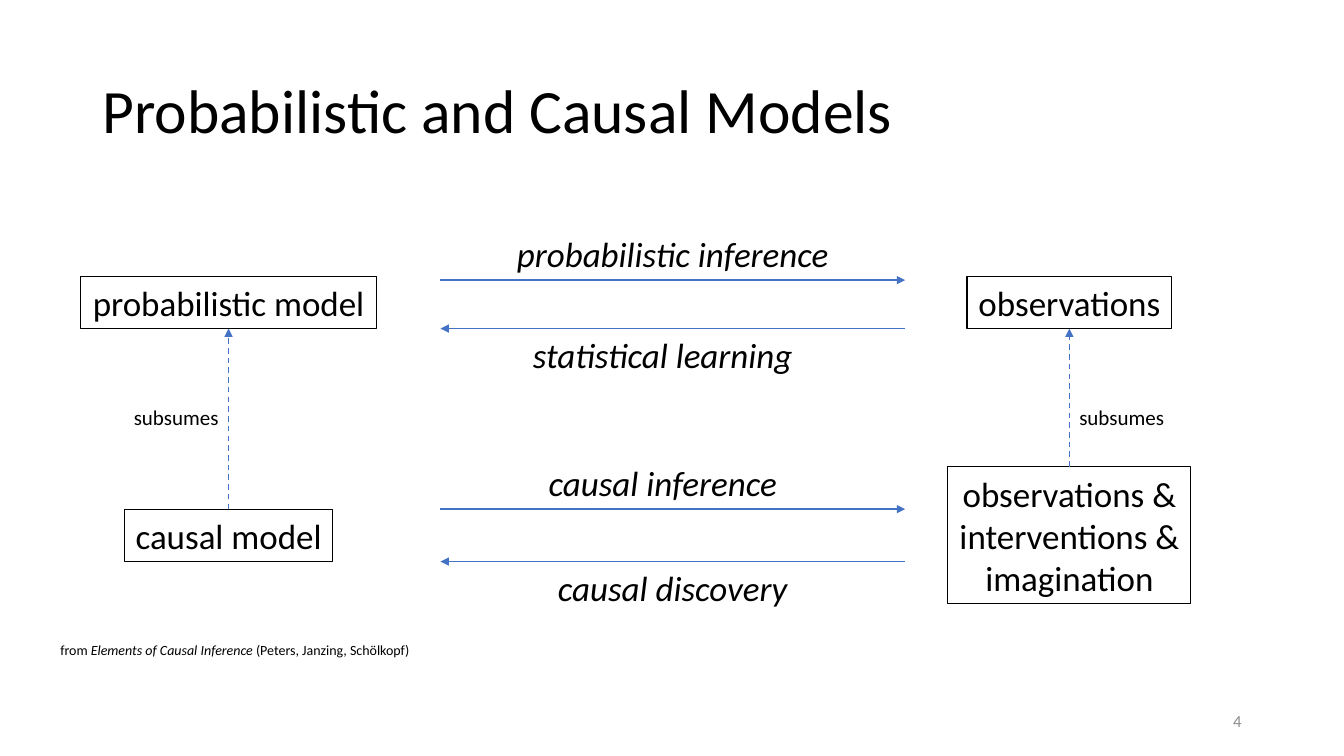
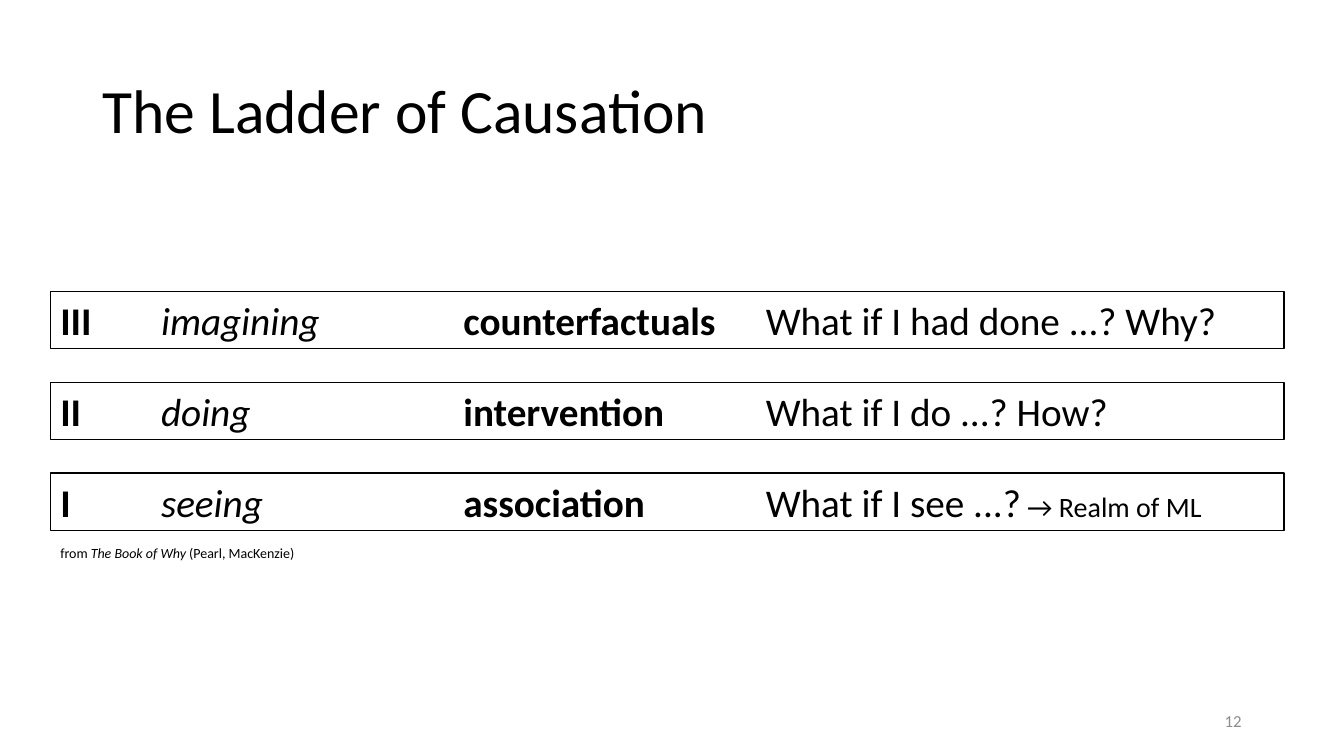
from lxml.etree import SubElement
from pptx import Presentation
from pptx.dml.color import RGBColor
from pptx.enum.dml import MSO_LINE_DASH_STYLE as Dash
from pptx.enum.shapes import MSO_CONNECTOR as Connector, MSO_SHAPE as Shape
from pptx.enum.text import MSO_ANCHOR as Anchor, PP_ALIGN as Align
from pptx.oxml.ns import qn
from pptx.util import Cm, Pt

FONT = "Calibri"
BLACK, GREY, BLUE = "000000", "8C8C8C", "4472C4"
TITLE_SIZE, ROW_SIZE, NODE_SIZE, ASIDE_SIZE = 44, 28, 25, 20
LINK_SIZE, NUMBER_SIZE, SOURCE_SIZE = 15, 12, 10
MARGIN = 1.27
BOLD, ITALIC = {"bold": True}, {"italic": True}


def color(hex_code):
    return RGBColor.from_string(hex_code)


def write(frame, lines, size, ink=BLACK, align=Align.LEFT, anchor=Anchor.TOP):
    """Fill a frame; each line is a list of (text, font settings) pieces."""
    frame.word_wrap = True
    frame.vertical_anchor = anchor
    for index, pieces in enumerate(lines):
        paragraph = frame.add_paragraph() if index else frame.paragraphs[0]
        paragraph.alignment = align
        for text, settings in pieces:
            run = paragraph.add_run()
            run.text = text
            font = run.font
            font.name, font.color.rgb = FONT, color(ink)
            font.size = Pt(settings.get("size", size))
            font.bold = settings.get("bold", False)
            font.italic = settings.get("italic", False)


def add_label(slide, box, pieces, size, **layout):
    label = slide.shapes.add_textbox(*map(Cm, box))
    write(label.text_frame, [pieces], size, **layout)
    return label


def add_frame(slide, box):
    """Add an unfilled rectangle with a thin black outline."""
    frame = slide.shapes.add_shape(Shape.RECTANGLE, *map(Cm, box))
    frame.shadow.inherit = False
    frame.fill.background()
    frame.line.color.rgb = color(BLACK)
    frame.line.width = Pt(0.75)
    return frame


def add_arrow(slide, start, end, dash=None):
    arrow = slide.shapes.add_connector(Connector.STRAIGHT, *map(Cm, (*start, *end)))
    arrow.line.color.rgb = color(BLUE)
    arrow.line.width = Pt(1)
    if dash:
        arrow.line.dash_style = dash
    SubElement(arrow.line._get_or_add_ln(), qn("a:tailEnd"), type="triangle")
    SubElement(arrow._element.spPr, qn("a:effectLst"))


def add_base(prs, title, number):
    """Add a blank slide with its title and slide number."""
    slide = prs.slides.add_slide(prs.slide_layouts[6])
    heading = add_label(slide, (2.33, 1.02, 29.21, 3.68), [(title, {})],
                        TITLE_SIZE, anchor=Anchor.MIDDLE)
    heading.text_frame.paragraphs[0].line_spacing = 0.9
    add_label(slide, (23.92, 17.66, 7.62, 1.01), [(str(number), {})], NUMBER_SIZE,
              ink=GREY, align=Align.RIGHT, anchor=Anchor.MIDDLE)
    return slide


def add_source(slide, top, work, authors):
    add_label(slide, (MARGIN, top, 12, 0.68),
              [("from ", {}), (work, ITALIC), (f" ({authors})", {})], SOURCE_SIZE)


def add_node(slide, center, top, width, height, lines):
    node = add_frame(slide, (center - width / 2, top, width, height))
    write(node.text_frame, [[(line, {})] for line in lines], NODE_SIZE,
          align=Align.CENTER, anchor=Anchor.MIDDLE)


def add_subsumes(slide, center, bottom, top, align):
    """Add a dashed upward arrow, labelled on the side that align points from."""
    add_arrow(slide, (center, bottom), (center, top), Dash.DASH)
    width = 3
    left = center - width if align == Align.RIGHT else center
    add_label(slide, (left, 10.06, width, 0.89), [("subsumes", {})], LINK_SIZE,
              align=align)


def add_exchange(slide, top, bottom, forward, backward):
    """Add a right arrow with its label above and a left arrow with its label below."""
    left, right, height = 11.1, 22.81, 1.32
    add_arrow(slide, (left, top), (right, top))
    add_arrow(slide, (right, bottom), (left, bottom))
    for (text, center), label_top in ((forward, top - height), (backward, bottom)):
        add_label(slide, (center - 5, label_top, 10, height), [(text, ITALIC)],
                  NODE_SIZE, align=Align.CENTER)


def build_models(prs):
    slide = add_base(prs, "Probabilistic and Causal Models", 4)
    model_x, data_x = 5.76, 26.95
    upper, lower, data_top, height = 6.96, 12.83, 11.76, 1.32
    add_node(slide, model_x, upper, 7.44, height, ["probabilistic model"])
    add_node(slide, data_x, upper, 5.16, height, ["observations"])
    add_node(slide, model_x, lower, 5.26, height, ["causal model"])
    add_node(slide, data_x, data_top, 6.12, 3.45,
             ["observations &", "interventions &", "imagination"])
    add_subsumes(slide, model_x, lower, upper + height, Align.RIGHT)
    add_subsumes(slide, data_x, data_top, upper + height, Align.LEFT)
    near, far = 16.7, 16.95
    add_exchange(slide, 7.06, 8.28, ("probabilistic inference", far),
                 ("statistical learning", near))
    add_exchange(slide, 12.83, 14.15, ("causal inference", near),
                 ("causal discovery", far))
    add_source(slide, 16.03, "Elements of Causal Inference", "Peters, Janzing, Schölkopf")


def add_rung(slide, box, level, activity, concept, question, aside):
    rung = add_frame(slide, box)
    properties = rung.text_frame.paragraphs[0]._p.get_or_add_pPr()
    stops = SubElement(properties, qn("a:tabLst"))
    for position in (2.54, 10.16, 17.78):
        SubElement(stops, qn("a:tab"), pos=str(Cm(position)), algn="l")
    pieces = [(f"{level}\t", BOLD), (f"{activity}\t", ITALIC),
              (f"{concept}\t", BOLD), (question, {})]
    if aside:
        pieces.append((f" {aside}", {"size": ASIDE_SIZE}))
    write(rung.text_frame, [pieces], ROW_SIZE, anchor=Anchor.MIDDLE)


def build_ladder(prs):
    slide = add_base(prs, "The Ladder of Causation", 12)
    rungs = [
        ("III", "imagining", "counterfactuals", "What if I had done ...? Why?", ""),
        ("II", "doing", "intervention", "What if I do ...? How?", ""),
        ("I", "seeing", "association", "What if I see ...?", "→ Realm of ML"),
    ]
    top, pitch = 7.34, 2.29
    for index, rung in enumerate(rungs):
        add_rung(slide, (MARGIN, top + index * pitch, 31.09, 1.45), *rung)
    add_source(slide, 13.59, "The Book of Why", "Pearl, MacKenzie")


def main():
    prs = Presentation()
    prs.slide_width, prs.slide_height = Cm(33.87), Cm(19.05)
    build_models(prs)
    build_ladder(prs)
    prs.save("out.pptx")


if __name__ == "__main__":
    main()
